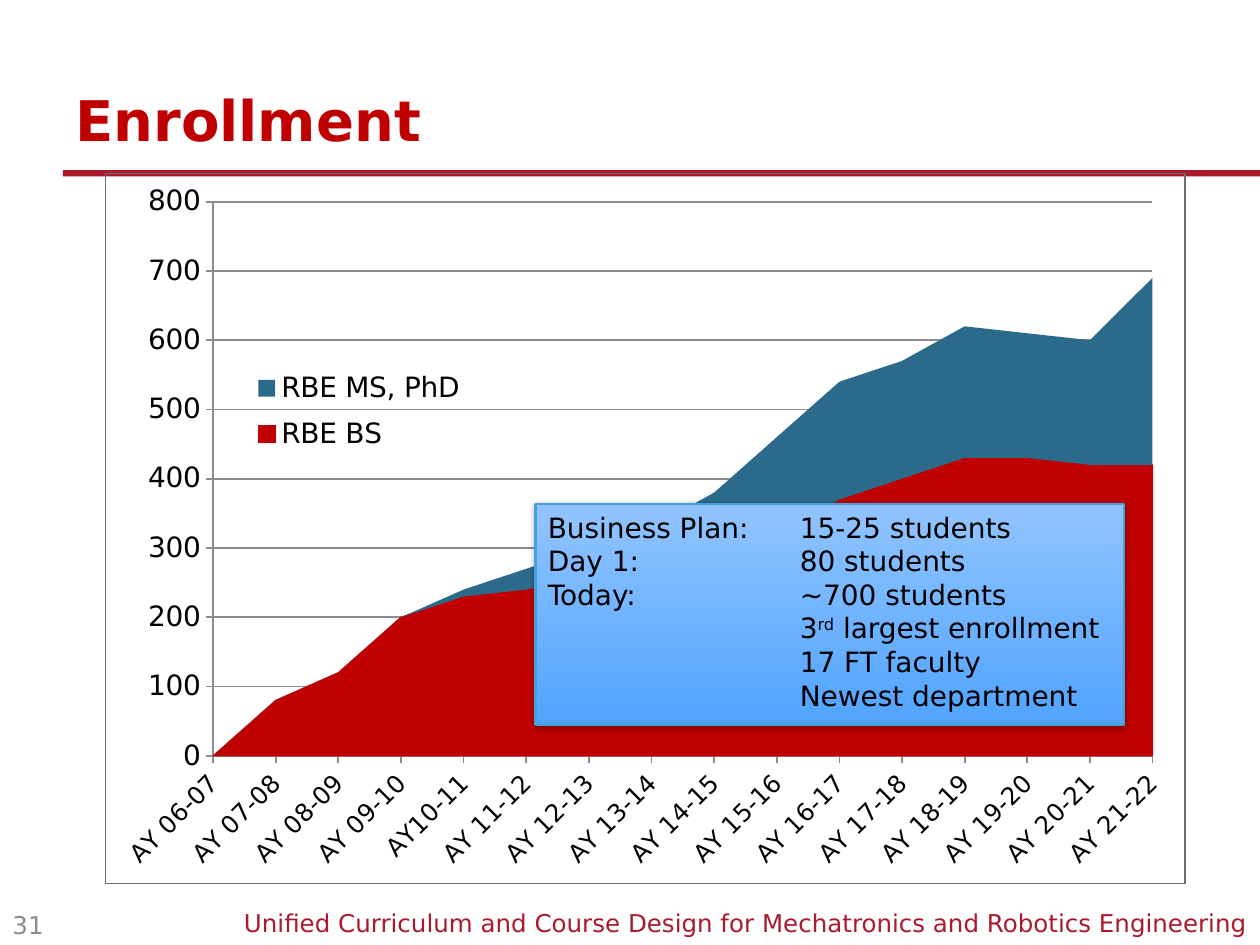
from lxml.etree import SubElement
from pptx import Presentation
from pptx.chart.data import CategoryChartData
from pptx.dml.color import RGBColor
from pptx.enum.chart import XL_CHART_TYPE, XL_LEGEND_POSITION, XL_TICK_MARK
from pptx.enum.shapes import MSO_SHAPE
from pptx.enum.text import MSO_ANCHOR, PP_ALIGN
from pptx.oxml import parse_xml
from pptx.oxml.ns import nsdecls, qn
from pptx.util import Inches, Pt

FONT = "DejaVu Sans"
BLACK = RGBColor(0x00, 0x00, 0x00)
RED = RGBColor(0xC0, 0x00, 0x00)
CRIMSON = RGBColor(0xAB, 0x19, 0x2D)
TEAL = RGBColor(0x2C, 0x6A, 0x8C)
GRAY = RGBColor(0x8C, 0x8C, 0x8C)
EDGE = RGBColor(0x46, 0xA0, 0xDC)
LIGHT = RGBColor(0x91, 0xC4, 0xFF)
BLUE = RGBColor(0x51, 0xA4, 0xFF)

YEARS = ["AY 06-07", "AY 07-08", "AY 08-09", "AY 09-10", "AY10-11", "AY 11-12",
         "AY 12-13", "AY 13-14", "AY 14-15", "AY 15-16", "AY 16-17", "AY 17-18",
         "AY 18-19", "AY 19-20", "AY 20-21", "AY 21-22"]
SERIES = [
    ("RBE BS", RED, [0, 80, 120, 200, 230, 240, 260, 270, 300, 320, 370, 400,
                     430, 430, 420, 420]),
    ("RBE MS, PhD", TEAL, [0, 0, 0, 0, 10, 30, 40, 60, 80, 140, 170, 170,
                           190, 180, 180, 270]),
]
FACTS = [
    ("Business Plan:", ["15-25 students"]),
    ("Day 1:", ["80 students"]),
    ("Today:", ["~700 students"]),
    ("", ["3", "rd", " largest enrollment"]),
    ("", ["17 FT faculty"]),
    ("", ["Newest department"]),
]


def style(font, size, color, bold=False):
    """Set the face, size, colour and weight of a font."""
    font.name, font.size, font.bold = FONT, Pt(size), bold
    font.color.rgb = color


def add_text(slide, box, text, size, color, bold=False,
             align=PP_ALIGN.LEFT, anchor=MSO_ANCHOR.TOP):
    """Add a one-line text box."""
    frame = slide.shapes.add_textbox(*map(Inches, box)).text_frame
    frame.word_wrap = True
    frame.vertical_anchor = anchor
    para = frame.paragraphs[0]
    para.text, para.alignment = text, align
    style(para.font, size, color, bold)


def add_rule(slide, box):
    """Add the bar under the title."""
    bar = slide.shapes.add_shape(MSO_SHAPE.RECTANGLE, *map(Inches, box))
    bar.shadow.inherit = False
    bar.fill.solid()
    bar.fill.fore_color.rgb = CRIMSON
    bar.line.fill.background()


def set_layout(node, index, box, inner=False):
    """Fix a chart part at fractions of the chart area."""
    for old in node.findall(qn("c:layout")):
        node.remove(old)
    layout = parse_xml(f"<c:layout {nsdecls('c')}><c:manualLayout/></c:layout>")
    pairs = [("layoutTarget", "inner")] if inner else []
    pairs += [("xMode", "edge"), ("yMode", "edge"), *zip("xywh", box)]
    for tag, val in pairs:
        SubElement(layout[0], qn(f"c:{tag}")).set("val", str(val))
    node.insert(index, layout)


def style_axis(axis, size):
    """Style the line, ticks and labels of an axis."""
    axis.format.line.color.rgb = GRAY
    axis.format.line.width = Pt(1)
    axis.major_tick_mark = XL_TICK_MARK.OUTSIDE
    axis.minor_tick_mark = XL_TICK_MARK.NONE
    style(axis.tick_labels.font, size, BLACK)


def add_graph(slide, box):
    """Add the stacked area chart of enrollment."""
    data = CategoryChartData()
    data.categories = YEARS
    for name, _, vals in SERIES:
        data.add_series(name, vals)
    chart = slide.shapes.add_chart(
        XL_CHART_TYPE.AREA_STACKED, *map(Inches, box), data).chart
    chart.has_title = False
    style(chart.font, 16, BLACK)
    for part, (_, color, _) in zip(chart.plots[0].series, SERIES):
        part.format.fill.solid()
        part.format.fill.fore_color.rgb = color
    edge = chart.plots[0].series[0].format.line
    edge.color.rgb, edge.width = RED, Pt(0.75)

    years, count = chart.category_axis, chart.value_axis
    style_axis(years, 14)
    style_axis(count, 16)
    years.has_major_gridlines = False
    turn = years._element.find(qn("c:txPr")).find(qn("a:bodyPr"))
    turn.set("rot", "-2700000")
    turn.set("vert", "horz")
    count.minimum_scale, count.maximum_scale, count.major_unit = 0, 800, 100
    count.has_major_gridlines = True
    grid = count.major_gridlines.format.line
    grid.color.rgb, grid.width = GRAY, Pt(1)
    count._element.find(qn("c:crossBetween")).set("val", "midCat")

    chart.has_legend = True
    legend = chart.legend
    legend.position = XL_LEGEND_POSITION.LEFT
    legend.include_in_layout = True
    style(legend.font, 16, BLACK)
    set_layout(legend._element, 1, (0.13, 0.26, 0.21, 0.15))
    space = chart._chartSpace
    area = space.find(qn("c:chart"))
    set_layout(area.find(qn("c:plotArea")), 0, (0.1, 0.04, 0.87, 0.78), True)
    area.addnext(parse_xml(
        f"<c:spPr {nsdecls('c', 'a')}><a:noFill/><a:ln w='9525'><a:solidFill>"
        "<a:srgbClr val='6D6D6D'/></a:solidFill></a:ln></c:spPr>"))


def add_facts(slide, box):
    """Add the shaded panel of figures in two tabbed columns."""
    panel = slide.shapes.add_shape(MSO_SHAPE.RECTANGLE, *map(Inches, box))
    panel.fill.gradient()
    panel.fill.gradient_angle = 270
    for stop, color, place in zip(panel.fill.gradient_stops, (LIGHT, BLUE), (0, 1)):
        stop.color.rgb, stop.position = color, place
    panel.line.color.rgb, panel.line.width = EDGE, Pt(1.25)
    panel.shadow.inherit = False
    glow = panel._element.spPr.find(qn("a:effectLst"))
    glow.append(parse_xml(
        f"<a:outerShdw {nsdecls('a')} blurRad='50800' dist='12700' dir='5280000' "
        "rotWithShape='0'><a:srgbClr val='000000'><a:alpha val='40000'/>"
        "</a:srgbClr></a:outerShdw>"))
    frame = panel.text_frame
    frame.word_wrap = True
    frame.vertical_anchor = MSO_ANCHOR.TOP
    for i, (label, parts) in enumerate(FACTS):
        para = frame.add_paragraph() if i else frame.paragraphs[0]
        para.alignment = PP_ALIGN.LEFT
        tabs = SubElement(para._p.get_or_add_pPr(), qn("a:tabLst"))
        SubElement(tabs, qn("a:tab"), pos=str(Inches(2)), algn="l")
        style(para.font, 16, BLACK)
        para.add_run().text = label + "\t" + parts[0]
        for part in parts[1:]:
            run = para.add_run()
            run.text = part
            if part == "rd":
                run.font._element.set("baseline", "30000")


def main():
    """Build the enrollment slide."""
    deck = Presentation()
    deck.slide_width, deck.slide_height = Inches(10), Inches(7.5)
    slide = deck.slides.add_slide(deck.slide_layouts[6])
    add_rule(slide, (0.5, 1.35, 9.5, 0.05))
    add_text(slide, (0.5, 7.16, 9.5, 0.34),
             "Unified Curriculum and Course Design for Mechatronics and "
             "Robotics Engineering", 14, CRIMSON, align=PP_ALIGN.RIGHT)
    add_text(slide, (0.5, 0.38, 9, 0.88), "Enrollment", 32, RED, True,
             anchor=MSO_ANCHOR.BOTTOM)
    add_graph(slide, (0.83, 1.37, 8.58, 5.65))
    add_text(slide, (0, 7.18, 0.58, 0.32), "31", 14, GRAY,
             anchor=MSO_ANCHOR.MIDDLE)
    add_facts(slide, (4.25, 4, 4.67, 1.75))
    deck.save("out.pptx")


if __name__ == "__main__":
    main()
